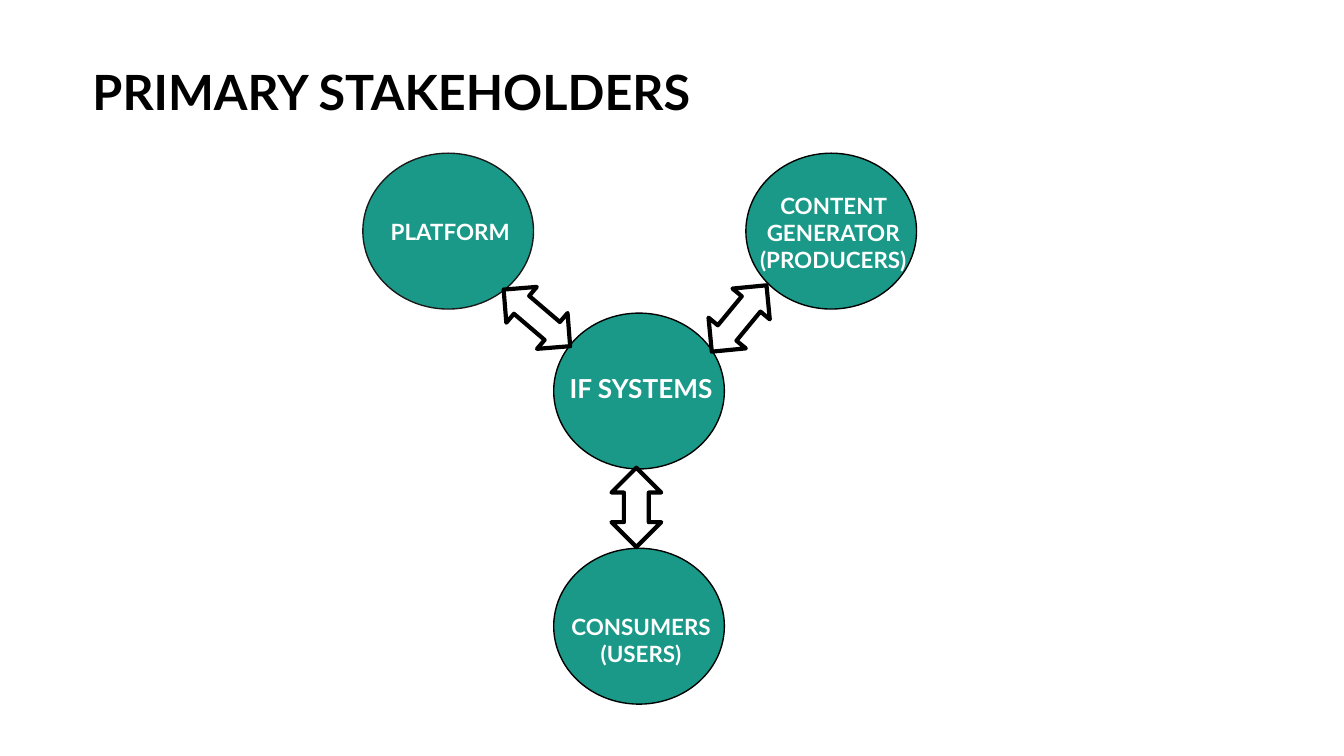
import pptx
import pptx.util
import pptx.dml.color
import pptx.enum.shapes
import pptx.enum.text
import pptx.oxml.ns
from lxml import etree

Inches = pptx.util.Inches
Pt = pptx.util.Pt
RGBColor = pptx.dml.color.RGBColor
SHAPE = pptx.enum.shapes.MSO_SHAPE
ALIGN = pptx.enum.text.PP_ALIGN
ANCHOR = pptx.enum.text.MSO_ANCHOR

TEAL = RGBColor(0x1A, 0x99, 0x88)
BLACK = RGBColor(0, 0, 0)
DARK = RGBColor(0x1A, 0x1A, 0x1A)
WHITE = RGBColor(0xFF, 0xFF, 0xFF)


class Deck:
    """Style and current slide."""

    face = "Lato"
    inset = Inches(0.1)

    def __init__(self, slide):
        self.slide = slide

    def shape(self, kind, box, color, width):
        item = self.slide.shapes.add_shape(kind, *map(Inches, box))
        item.shadow.inherit = False
        item.line.color.rgb = color
        item.line.width = Pt(width)
        return item

    def circle(self, left, top, edge):
        item = self.shape(SHAPE.OVAL, (left, top, 1.27, 1.16), edge, 0.75)
        item.fill.solid()
        item.fill.fore_color.rgb = TEAL

    def arrow(self, box, turn):
        item = self.shape(SHAPE.LEFT_RIGHT_ARROW, box, BLACK, 2.25)
        item.fill.background()
        item.rotation = turn
        # Round corners on the outline
        line = item.element.spPr.get_or_add_ln()
        etree.SubElement(line, pptx.oxml.ns.qn("a:round"))

    def text(self, box, lines, size, color, align):
        frame = self.slide.shapes.add_textbox(*map(Inches, box)).text_frame
        style = {
            "word_wrap": True,
            "vertical_anchor": ANCHOR.TOP,
            "margin_left": self.inset,
            "margin_top": self.inset,
            "margin_right": self.inset,
            "margin_bottom": self.inset,
        }
        for name, value in style.items():
            setattr(frame, name, value)
        frame.text = "\n".join(lines)
        font = {"name": self.face, "size": Pt(size), "bold": True}
        for para in frame.paragraphs:
            para.alignment = align
            for run in para.runs:
                for name, value in font.items():
                    setattr(run.font, name, value)
                run.font.color.rgb = color


def main():
    # Widescreen page, 16 to 9
    show = pptx.Presentation()
    show.slide_width = Inches(10)
    show.slide_height = Inches(10) * 9 // 16
    deck = Deck(show.slides.add_slide(show.slide_layouts[6]))

    # Circles: left, top, outline, label top, label size, label lines
    nodes = [
        (4.12, 2.33, BLACK, 2.67, 14, ["IF SYSTEMS"]),
        (4.12, 4.08, BLACK, 4.46, 12, ["CONSUMERS", "(USERS)"]),
        (5.55, 1.14, BLACK, 1.33, 12, ["CONTENT GENERATOR", "(PRODUCERS)"]),
        (2.7, 1.14, DARK, 1.52, 12, ["PLATFORM"]),
    ]
    for left, top, edge, *_ in nodes:
        deck.circle(left, top, edge)

    # Labels, each a little wider than its circle
    for left, _, _, top, size, lines in nodes:
        box = (left - 0.06, top, 1.42, 0.7)
        deck.text(box, lines, size, WHITE, ALIGN.CENTER)

    # Two-way arrows from the hub
    deck.arrow((4.44, 3.59, 0.59, 0.37), 270)
    deck.arrow((5.18, 2.19, 0.64, 0.36), 309.5)
    deck.arrow((3.67, 2.19, 0.65, 0.35), 220.4)

    # Title
    title = ["PRIMARY STAKEHOLDERS"]
    deck.text((0.59, 0.36, 8.03, 0.94), title, 26, BLACK, ALIGN.LEFT)

    show.save("out.pptx")


if __name__ == "__main__":
    main()
